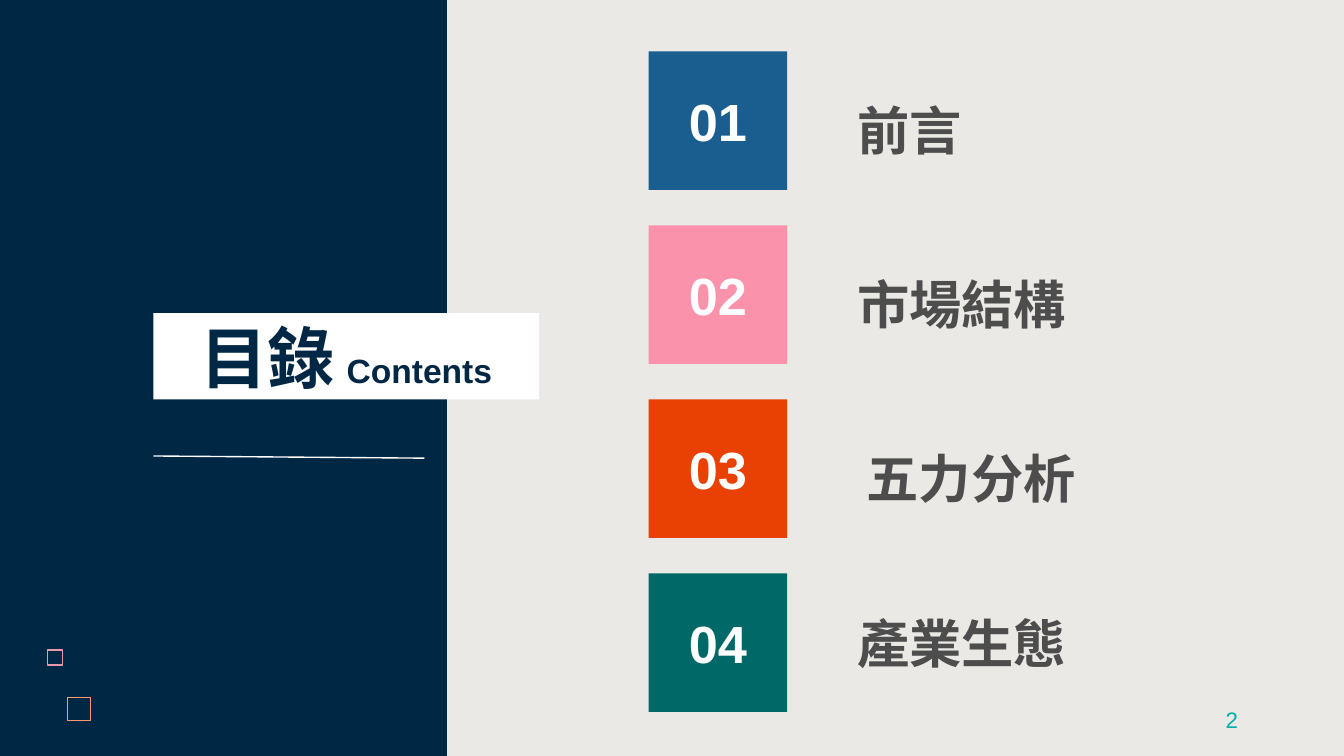
from dataclasses import dataclass

from pptx import Presentation
from pptx.dml.color import RGBColor
from pptx.enum.shapes import MSO_CONNECTOR, MSO_SHAPE
from pptx.enum.text import MSO_ANCHOR, PP_ALIGN
from pptx.oxml.ns import qn
from pptx.util import Cm, Pt


@dataclass(frozen=True)
class Theme:
    """Colours, fonts and type sizes of the deck."""
    navy: str = "002845"
    paper: str = "EAE9E6"
    white: str = "FFFFFF"
    ink: str = "4D4D4D"
    teal: str = "00AEAC"
    rose: str = "E898AC"
    coral: str = "FF9973"
    tiles: tuple = ("1A5E8F", "FA92AC", "E94104", "006866")
    latin: str = "Arial"
    asian: str = "Noto Sans CJK SC"
    title: int = 36
    head: int = 28
    label: int = 18
    small: int = 12


THEME = Theme()


def color(code):
    """Turn a hex code into a colour."""
    return RGBColor.from_string(code)


def block(slide, box, fill=None, line=None):
    """Draw a rectangle with an optional fill and outline."""
    shape = slide.shapes.add_shape(MSO_SHAPE.RECTANGLE, *map(Cm, box))
    shape.shadow.inherit = False
    if fill:
        shape.fill.solid()
        shape.fill.fore_color.rgb = color(fill)
    else:
        shape.fill.background()
    if line:
        shape.line.color.rgb = color(line)
        shape.line.width = Pt(0.75)
    else:
        shape.line.fill.background()
    return shape


def write(shape, runs, tint, align, font=THEME.latin, bold=True,
          anchor=MSO_ANCHOR.MIDDLE):
    """Fill a shape with one paragraph of (text, size) runs."""
    frame = shape.text_frame
    frame.word_wrap = True
    frame.vertical_anchor = anchor
    para = frame.paragraphs[0]
    para.alignment = align
    for text, size in runs:
        run = para.add_run()
        run.text = text
        run.font.name = font
        run.font.size = Pt(size)
        run.font.bold = bold
        run.font.color.rgb = color(tint)
        props = run.font._element
        asian = props.makeelement(qn("a:ea"), {"typeface": THEME.asian})
        props.find(qn("a:latin")).addnext(asian)


def cover(slide, box):
    """Place the title band, its rule and the corner squares."""
    left, top, width, height = box
    band = block(slide, (left + 2.9, top + 5.92, 7.29, 1.63), THEME.white)
    runs = (("目錄", THEME.title), (" ", THEME.head), ("Contents", THEME.label))
    write(band, runs, THEME.navy, PP_ALIGN.CENTER)

    rule = slide.shapes.add_connector(
        MSO_CONNECTOR.STRAIGHT, Cm(left + 2.9), Cm(top + 8.62),
        Cm(left + 8.02), Cm(top + 8.66))
    rule.line.color.rgb = color(THEME.white)
    rule.line.width = Pt(0.75)
    props = rule._element.spPr
    props.append(props.makeelement(qn("a:effectLst"), {}))

    base = top + height
    for shift, rise, size, tint in ((0.9, 2.0, 0.28, THEME.rose),
                                    (1.28, 1.1, 0.43, THEME.coral)):
        block(slide, (left + shift, base - rise, size, size), line=tint)


def entry(slide, box, number, text, fill, indent, drop):
    """Place a numbered tile and the heading beside it."""
    left, top, width, size = box
    tile = block(slide, (left, top, size, size), fill)
    write(tile, ((f"{number:02}", THEME.head),), THEME.white, PP_ALIGN.CENTER)
    label = slide.shapes.add_textbox(
        Cm(left + indent), Cm(top + drop), Cm(width - indent), Cm(1.45))
    write(label, ((text, THEME.head),), THEME.ink, PP_ALIGN.LEFT,
          THEME.asian, anchor=MSO_ANCHOR.TOP)


def agenda(slide, box):
    """Stack the entries at an even pitch."""
    left, top, width, height = box
    items = (("前言", 3.69, 0.76), ("市場結構", 3.69, 0.76),
             ("五力分析", 3.87, 0.76), ("產業生態", 3.69, 0.59))
    size = 2.62
    pitch = (height - size) / (len(items) - 1)
    for index, (text, indent, drop) in enumerate(items):
        entry(slide, (left, top + index * pitch, width, size), index + 1,
              text, THEME.tiles[index], indent, drop)


def folio(slide, box):
    """Place the page number."""
    page = slide.shapes.add_textbox(*map(Cm, box))
    write(page, (("2", THEME.small),), THEME.teal, PP_ALIGN.RIGHT, bold=False)


def main():
    """Build and save the contents slide."""
    deck = Presentation()
    deck.slide_width, deck.slide_height = Cm(25.4), Cm(14.29)
    slide = deck.slides.add_slide(deck.slide_layouts[6])
    ground = slide.background.fill
    ground.solid()
    ground.fore_color.rgb = color(THEME.navy)

    block(slide, (8.45, 0, 16.95, 14.29), THEME.paper)
    folio(slide, (17.93, 13.23, 5.72, 0.76))
    cover(slide, (0, 0, 8.45, 14.29))
    agenda(slide, (12.26, 0.97, 10.24, 12.49))
    deck.save("out.pptx")


if __name__ == "__main__":
    main()
